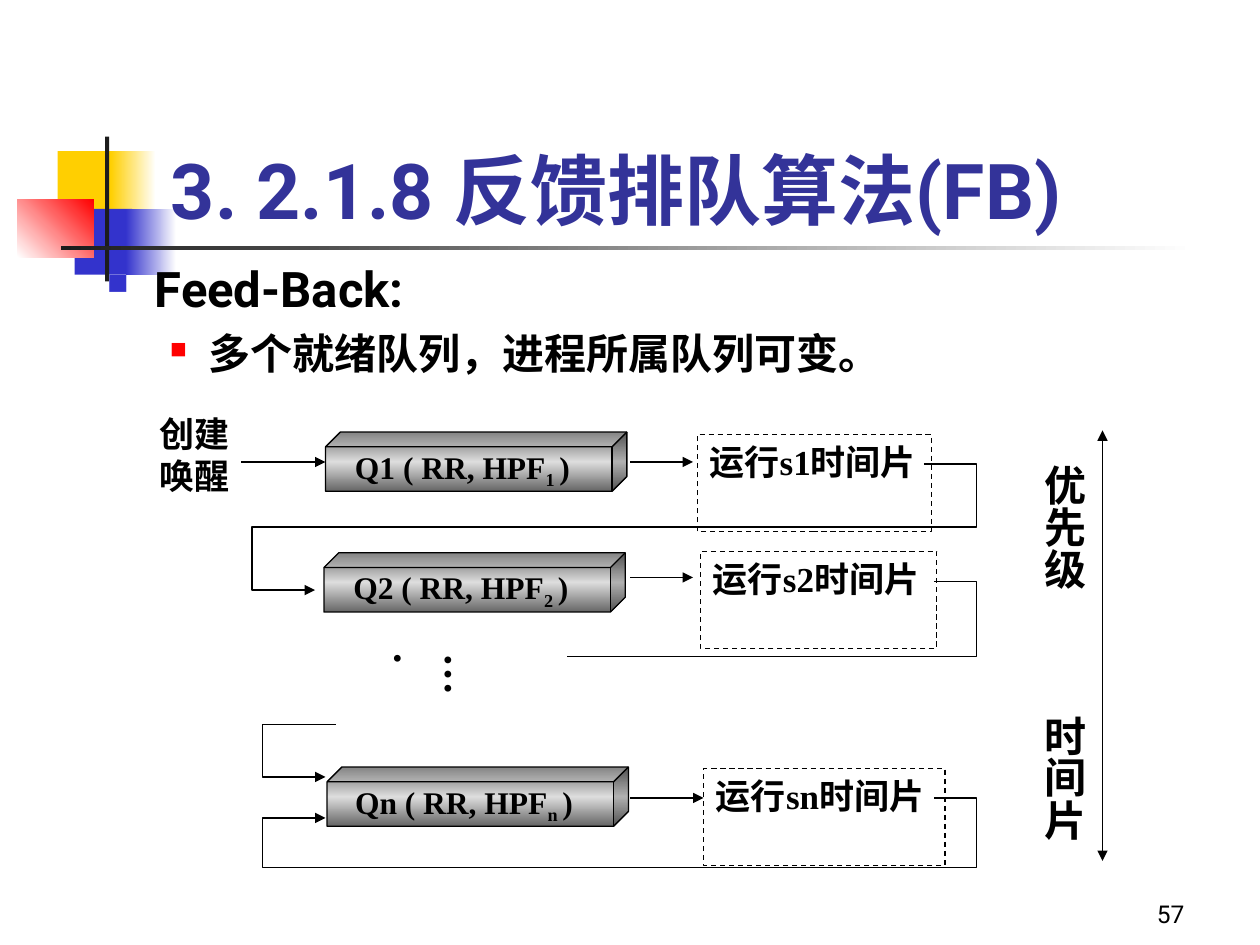
from lxml.etree import SubElement
from pptx import Presentation
from pptx.dml.color import RGBColor
from pptx.enum.dml import MSO_LINE
from pptx.enum.shapes import MSO_CONNECTOR, MSO_SHAPE
from pptx.enum.text import MSO_ANCHOR, MSO_AUTO_SIZE, PP_ALIGN
from pptx.oxml import parse_xml
from pptx.oxml.ns import nsdecls, qn
from pptx.util import Inches, Pt

HUES = {"ink": "000000", "title": "333399", "gold": "FFCF01", "blue": "3333CC",
        "red": "FF0000", "bar": "1C1C1C", "white": "FFFFFF",
        "dark": "666666", "light": "DDDDDD"}
SANS, SERIF = "Roboto", "Times New Roman"
COLS, ROWS = 120, 90  # one cell is a twelfth of an inch


class Deck:
    def __init__(self, wide, high):
        self.prs = Presentation()
        self.prs.slide_width, self.prs.slide_height = Inches(wide), Inches(high)
        self.slide = self.prs.slides.add_slide(self.prs.slide_layouts[6])
        self.shapes = self.slide.shapes
        self.cell = (self.prs.slide_width / COLS, self.prs.slide_height / ROWS)

    def grid(self, *nums):
        return [round(n * self.cell[i % 2]) for i, n in enumerate(nums)]

    def hue(self, name):
        return RGBColor.from_string(HUES[name])

    def paint(self, shape, hues, turn=0):
        """Fill with one colour, or with a gradient of evenly spaced ones."""
        if len(hues) == 1:
            shape.fill.solid()
            shape.fill.fore_color.rgb = self.hue(hues[0])
            return
        step = 100000 // (len(hues) - 1)
        stops = "".join(f'<a:gs pos="{i * step}"><a:srgbClr val="{HUES[h]}"/></a:gs>'
                        for i, h in enumerate(hues))
        grad = parse_xml(f'<a:gradFill {nsdecls("a")} rotWithShape="1"><a:gsLst>{stops}'
                         f'</a:gsLst><a:lin ang="{turn * 60000}" scaled="0"/></a:gradFill>')
        shape._element.spPr.find(qn("a:prstGeom")).addnext(grad)

    def pen(self, item, ends=(), dash=None):
        item.line.color.rgb = self.hue("ink")
        item.line.width = Pt(0.75)
        if dash:
            item.line.dash_style = dash
        for end in ends:
            SubElement(item.line._get_or_add_ln(), qn(f"a:{end}"), type="triangle")

    def block(self, spot, hues=(), turn=0, kind=MSO_SHAPE.RECTANGLE):
        shape = self.shapes.add_shape(kind, *self.grid(*spot))
        shape.shadow.inherit = False
        shape.line.fill.background()
        if hues:
            self.paint(shape, hues, turn)
        else:
            shape.fill.background()
        return shape

    def words(self, para, text, size, face=SERIF, hue="ink", bold=True, base=0):
        run = para.add_run()
        run.text = text
        for key, val in {"size": Pt(size), "name": face, "bold": bold}.items():
            setattr(run.font, key, val)
        run.font.color.rgb = self.hue(hue)
        if base:
            run._r.get_or_add_rPr().set("baseline", str(base * 1000))

    def frame(self, shape, **form):
        base = {"word_wrap": True, "vertical_anchor": MSO_ANCHOR.TOP}
        for key, val in {**base, **form}.items():
            setattr(shape.text_frame, key, val)
        return shape.text_frame

    def text(self, spot, words, size, align=PP_ALIGN.LEFT, form=None, **font):
        box = self.shapes.add_textbox(*self.grid(*spot))
        para = self.frame(box, **(form or {})).paragraphs[0]
        para.alignment = align
        self.words(para, words, size, **font)
        return box

    def tall(self, spot, words):
        form = {"margin_left": Inches(0.05), "margin_right": Inches(0.05),
                "margin_top": Inches(0.1), "margin_bottom": Inches(0.1)}
        box = self.text(spot, words, 24, form=form)
        box.text_frame._txBody.bodyPr.set("vert", "eaVert")

    def points(self, spot, items):
        frame = self.frame(self.shapes.add_textbox(*self.grid(*spot)))
        for i, (words, size, level, left, hang, hue, part) in enumerate(items):
            para = frame.paragraphs[0] if i == 0 else frame.add_paragraph()
            para.level = level
            props = para._p.get_or_add_pPr()
            props.set("marL", str(Inches(left)))
            props.set("indent", str(-Inches(hang)))
            tint = SubElement(props, qn("a:buClr"))
            SubElement(tint, qn("a:srgbClr"), val=HUES[hue])
            SubElement(props, qn("a:buSzPct"), val=str(part * 1000))
            SubElement(props, qn("a:buChar"), char="■")
            if i:
                para.space_before = Pt(6)
            self.words(para, words, size, SANS)

    def arrow(self, start, end, ends=("tailEnd",)):
        line = self.shapes.add_connector(MSO_CONNECTOR.STRAIGHT,
                                         *self.grid(*start, *end))
        self.pen(line, ends)
        SubElement(line._element.spPr, qn("a:effectLst"))

    def route(self, dots, ends=("tailEnd",)):
        first, *rest = [self.grid(*dot) for dot in dots]
        form = self.shapes.build_freeform(*first, scale=1.0)
        form.add_line_segments(rest, close=False)
        shape = form.convert_to_shape()
        shape.shadow.inherit = False
        shape.fill.background()
        self.pen(shape, ends)

    def cube(self, left, top, mark):
        shape = self.block((left, top, 28.7, 5.65), ("dark", "light", "dark"), 90,
                           MSO_SHAPE.CUBE)
        shape.adjustments[0] = 0.25
        self.pen(shape)
        para = self.frame(shape, word_wrap=False, margin_right=Inches(0.2),
                          vertical_anchor=MSO_ANCHOR.MIDDLE).paragraphs[0]
        para.alignment = PP_ALIGN.CENTER
        self.words(para, f"Q{mark} ( RR, HPF", 18)
        self.words(para, f"{mark} ", 18, base=-25)
        self.words(para, ")", 18)

    def slot(self, left, top, wide, mark):
        shape = self.block((left, top, wide, 9.25))
        self.pen(shape, dash=MSO_LINE.DASH)
        para = self.frame(shape, auto_size=MSO_AUTO_SIZE.SHAPE_TO_FIT_TEXT).paragraphs[0]
        para.alignment = PP_ALIGN.LEFT
        self.words(para, f"运行s{mark}时间片", 20)


def main():
    deck = Deck(10, 7.5)

    # Corner ornament and rule
    for spot, hues, turn in [
            ((5.5, 14.4, 5.75, 6.25), ("gold",), 0),
            ((10.55, 14.4, 4.3, 6.25), ("gold", "white"), 0),
            ((7.1, 19.9, 5.5, 6.25), ("blue",), 0),
            ((12, 19.9, 4.8, 6.25), ("blue", "white"), 0),
            ((1.65, 19, 7.3, 5.5), ("white", "red"), 315),
            ((10, 13, 0.4, 13.8), ("bar",), 0),
            ((5.8, 23.4, 108, 0.4), ("bar", "white"), 0)]:
        deck.block(spot, hues, turn)

    # Title and points
    low = {"vertical_anchor": MSO_ANCHOR.BOTTOM}
    deck.text((15.1, 8, 102.25, 15), "3. 2.1.8 反馈排队算法(FB)", 44,
              form=low, face=SANS, hue="title")
    deck.points((9, 24, 102, 56), [
        ("Feed-Back:", 28, 0, 0.38, 0.38, "blue", 60),
        ("多个就绪队列，进程所属队列可变。", 24, 1, 0.81, 0.31, "red", 55)])

    # Entry into the first queue
    deck.text((14, 38.65, 10, 9.25), "创建唤醒", 20)
    deck.arrow((23, 44), (31, 44))

    # Feedback paths
    right, left = 93, 25
    deck.route([(88, 44.2), (right, 44.2), (right, 50.2), (24, 50.2),
                (24, 56.2), (30, 56.2)])
    deck.route([(32, 69), (left, 69), (left, 74), (31, 74)])
    deck.route([(89, 55.4), (right, 55.4), (right, 62.5), (54, 62.5)], ())
    deck.route([(89, 76), (right, 76), (right, 82.6), (left, 82.6),
                (left, 77.9), (31, 77.9)])

    # Queues with their time slices
    for mark, cube, slot, level, end in [
            ("1", (31, 41.15), (66.4, 41.4, 22.3), 44, 66),
            ("2", (30.85, 52.65), (66.7, 52.5, 22.5), 55, 66),
            ("n", (31.15, 73.05), (67, 73.2, 23), 76, 67)]:
        deck.cube(*cube, mark)
        deck.arrow((60, level), (end, level))
        deck.slot(*slot, mark)
    deck.tall((39.8, 61, 7.2, 7), "….")

    # Priority and time slice scale
    deck.arrow((105, 41), (105, 82), ("headEnd", "tailEnd"))
    for top, words in [(43, "优先级"), (66.9, "时间片")]:
        deck.tall((97.1, top, 7.2, 15), words)

    # Slide number
    deck.text((89, 83, 25, 6), "57", 14, PP_ALIGN.RIGHT, low, face=SANS, bold=False)

    deck.prs.save("out.pptx")


if __name__ == "__main__":
    main()
